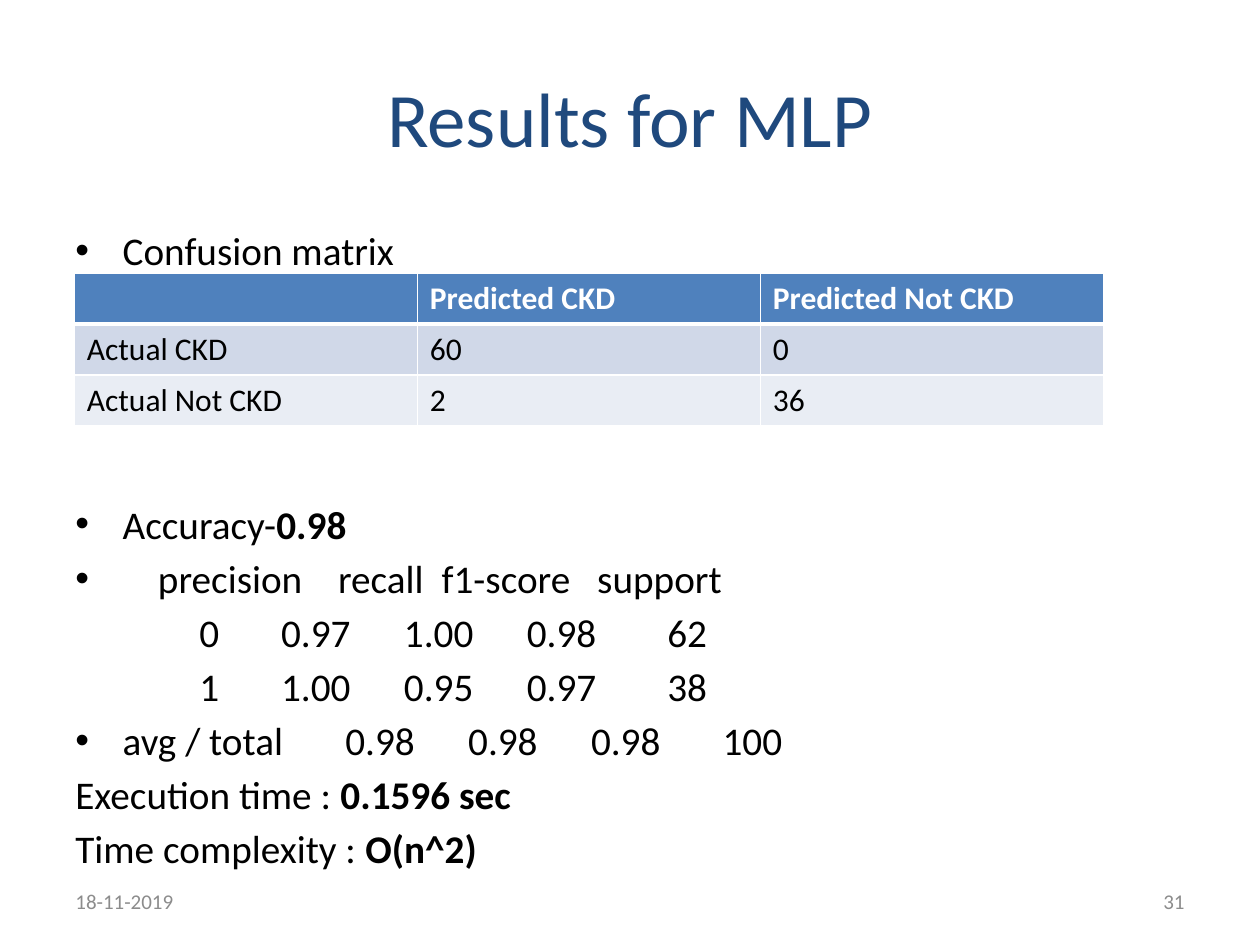
import pptx
import pptx.util
import pptx.oxml
import pptx.oxml.ns
import pptx.dml.color
import pptx.enum.text
from dataclasses import dataclass

Pt = pptx.util.Pt
ALIGN = pptx.enum.text.PP_ALIGN
ANCHOR = pptx.enum.text.MSO_ANCHOR
NS = pptx.oxml.ns.nsdecls("a")


@dataclass(frozen=True)
class Theme:
    face: str = "Calibri"
    title: str = "1F497D"
    ink: str = "000000"
    pale: str = "8C8C8C"
    white: str = "FFFFFF"
    head: str = "4F81BD"
    bands: tuple = ("D0D8E8", "E9EDF4")
    big: float = 44
    body: float = 22.4
    cell: float = 18
    small: float = 12
    lead: float = 4      # space above each line
    space: float = 5.06  # width of one space in body type


class Deck:
    def __init__(self, theme):
        self.theme = theme
        self.file = pptx.Presentation()
        self.file.slide_width, self.file.slide_height = Pt(720), Pt(540)
        self.slide = self.file.slides.add_slide(self.file.slide_layouts[5])

    def style(self, item, values):
        for name, value in values.items():
            setattr(item, name, value)

    def place(self, shape, box):
        names = ("left", "top", "width", "height")
        self.style(shape, dict(zip(names, map(Pt, box))))

    def label(self, para, text, size, color, bold=False):
        run = para.add_run()
        run.text = text
        self.style(run.font, {"name": self.theme.face, "size": Pt(size), "bold": bold})
        run.font.color.rgb = pptx.dml.color.RGBColor.from_string(color)
        return run

    def title(self, text, box):
        shape = self.slide.shapes.title
        self.place(shape, box)
        shape.text_frame.vertical_anchor = ANCHOR.MIDDLE
        para = shape.text_frame.paragraphs[0]
        para.alignment = ALIGN.CENTER
        self.label(para, text, self.theme.big, self.theme.title)

    def frame(self, box, anchor):
        frame = self.slide.shapes.add_textbox(*map(Pt, box)).text_frame
        self.style(frame, {"word_wrap": True, "vertical_anchor": anchor})
        return frame

    def note(self, text, box, align):
        para = self.frame(box, ANCHOR.MIDDLE).paragraphs[0]
        para.alignment = align
        self.label(para, text, self.theme.small, self.theme.pale)

    def indent(self, para, left, dot):
        props = para._p.get_or_add_pPr()
        props.set("marL", str(Pt(left)))
        props.set("indent", str(Pt(-left if dot else 0)))
        if dot:
            for tag in ('buFont {} typeface="Arial"', 'buChar {} char="•"'):
                props.append(pptx.oxml.parse_xml(f"<a:{tag.format(NS)}/>"))

    def lines(self, rows, box):
        """Each row: left indent, dot, space above, parts.
        A part is text, (bold text,) or a gap counted in spaces."""
        look = self.theme
        frame = self.frame(box, ANCHOR.TOP)
        for index, (left, dot, above, parts) in enumerate(rows):
            para = frame.add_paragraph() if index else frame.paragraphs[0]
            para.alignment = ALIGN.LEFT
            para.space_before = Pt(above)
            self.indent(para, left, dot)
            for part in parts:
                if isinstance(part, int):
                    # One space, widened to the gap
                    run = self.label(para, " ", look.body, look.ink)
                    wide = round((part - 1) * look.space * 100)
                    run._r.get_or_add_rPr().set("spc", str(wide))
                else:
                    bold = isinstance(part, tuple)
                    text = part[0] if bold else part
                    self.label(para, text, look.body, look.ink, bold)

    def edge(self, cell, side, width):
        cell._tc.get_or_add_tcPr().append(pptx.oxml.parse_xml(
            f'<a:ln{side} {NS} w="{Pt(width)}"><a:solidFill>'
            f'<a:srgbClr val="{self.theme.white}"/></a:solidFill></a:ln{side}>'))

    def table(self, rows, box):
        look = self.theme
        grid = self.slide.shapes.add_table(len(rows), len(rows[0]), *map(Pt, box)).table
        for r, row in enumerate(rows):
            head = r == 0
            fill = look.head if head else look.bands[(r - 1) % 2]
            for c, text in enumerate(row):
                cell = grid.cell(r, c)
                for side in "LRTB":
                    thick = (head and side == "B") or (r == 1 and side == "T")
                    self.edge(cell, side, 3 if thick else 1)
                cell.fill.solid()
                cell.fill.fore_color.rgb = pptx.dml.color.RGBColor.from_string(fill)
                if text:
                    self.label(cell.text_frame.paragraphs[0], text, look.cell,
                               look.white if head else look.ink, head)


def main():
    look = Theme()
    deck = Deck(look)

    # Title
    deck.title("Results for MLP", (36, 21.6, 648, 90))

    # Main points; the large space leaves room for the table
    lead, room = look.lead, 129.2
    deck.lines([
        (27, True, 0, ["Confusion matrix"]),
        (27, True, room, ["Accuracy-", ("0.98",)]),
        (47.2, True, lead, ["precision", 4, "recall", 2, "f1-score", 3, "support"]),
        (70.8, False, lead, ["0", 7, "0.97", 6, "1.00", 6, "0.98", 8, "62"]),
        (70.8, False, lead, ["1", 7, "1.00", 6, "0.95", 6, "0.97", 8, "38"]),
        (27, True, lead, ["avg / total", 7, "0.98", 6, "0.98", 6, "0.98", 7, "100"]),
        (0, False, lead, ["Execution time :", (" 0.1596 sec",)]),
        (0, False, lead, ["Time complexity : ", ("O(n^2)",)]),
    ], (36, 126, 648, 356.4))

    # Footer
    deck.note("31", (516, 500.5, 168, 28.75), ALIGN.RIGHT)
    deck.note("18-11-2019", (36, 500.5, 168, 28.75), ALIGN.LEFT)

    # Confusion matrix
    deck.table([
        ("", "Predicted CKD", "Predicted Not CKD"),
        ("Actual CKD", "60", "0"),
        ("Actual Not CKD", "2", "36"),
    ], (42.5, 156.25, 588, 87))

    deck.file.save("out.pptx")


if __name__ == "__main__":
    main()
